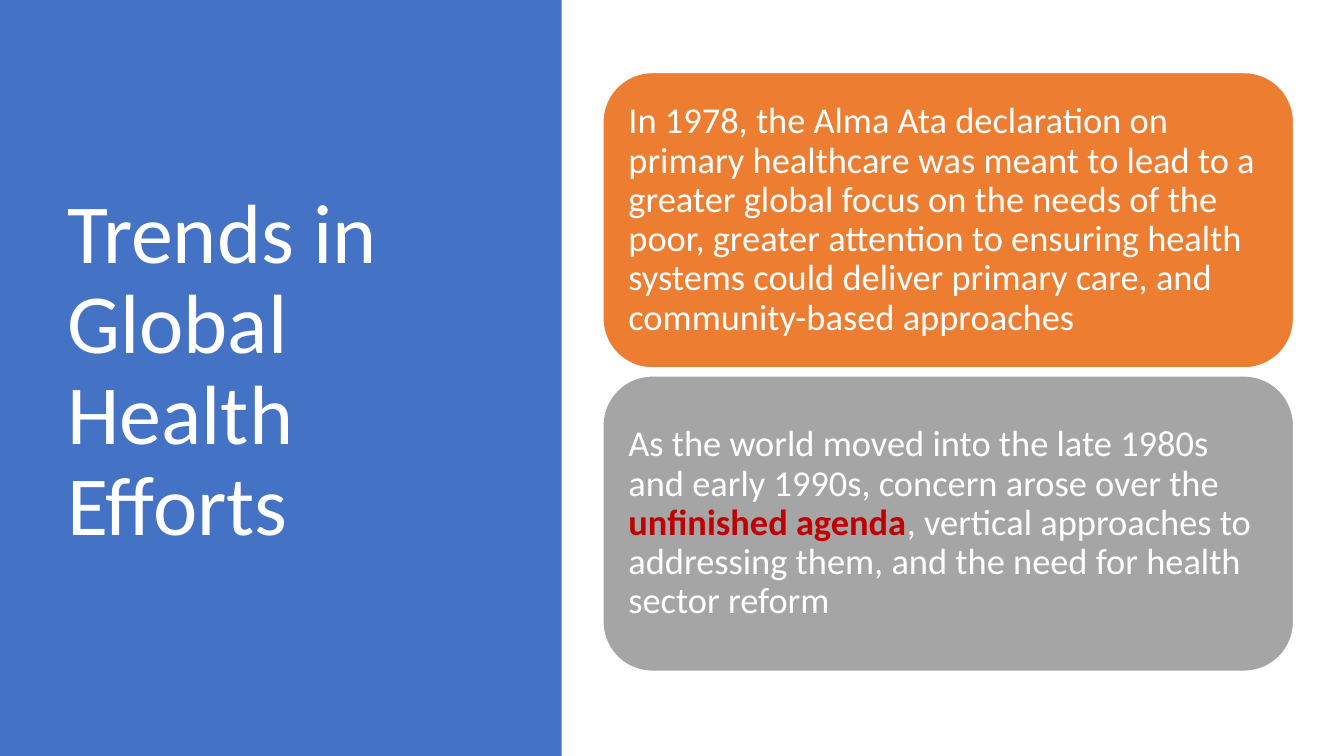
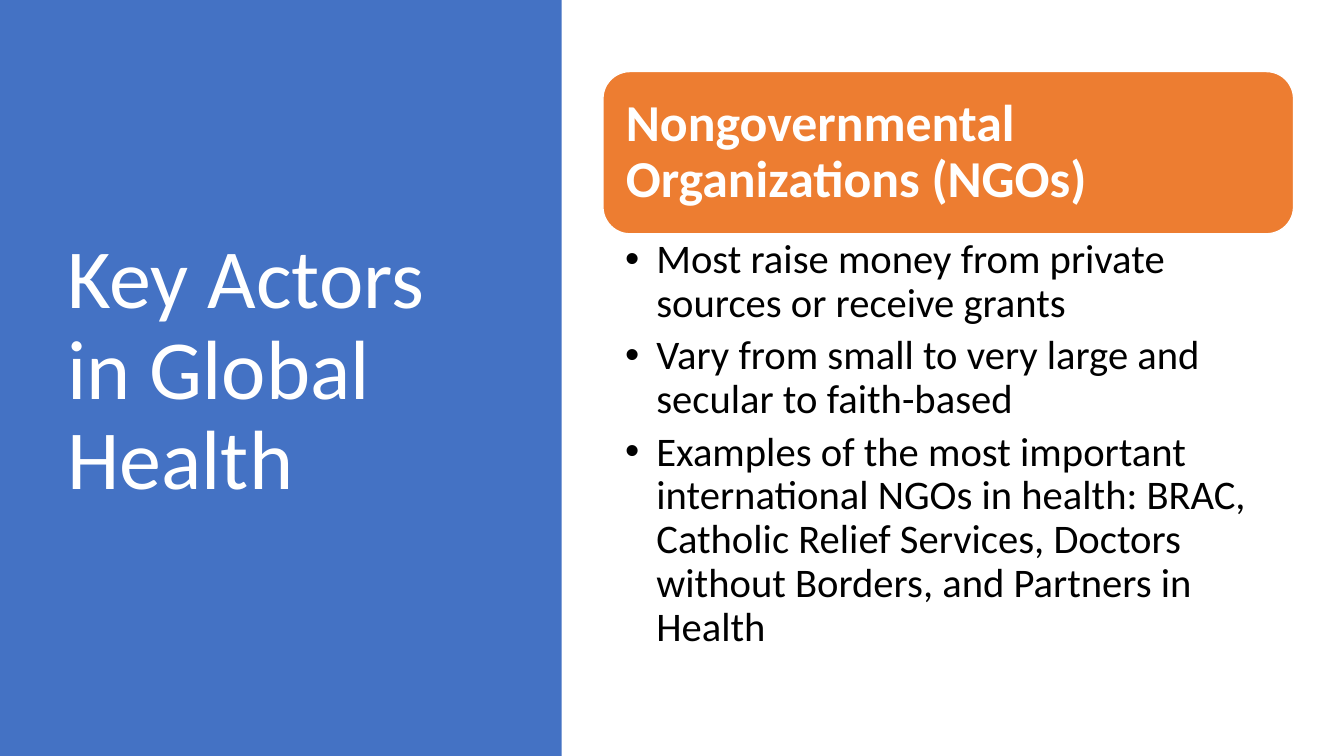
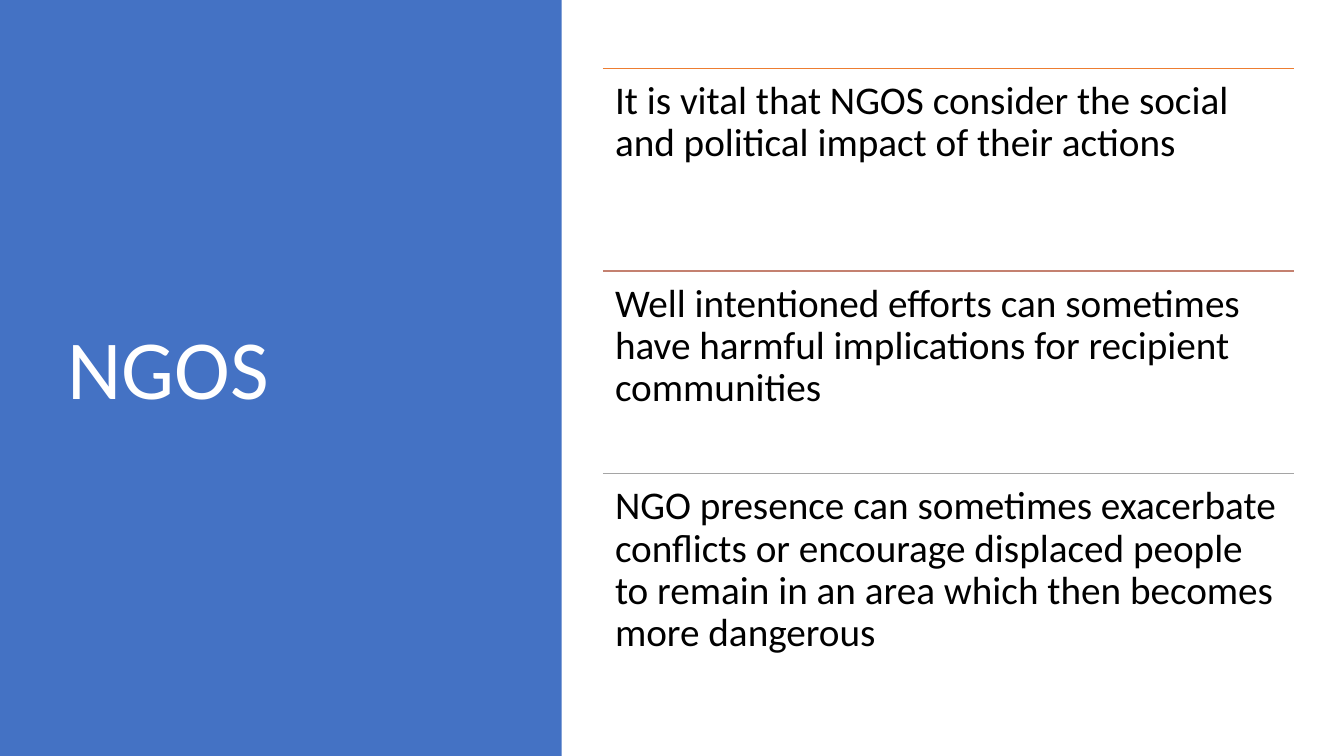
from pptx import Presentation
from pptx.dml.color import RGBColor
from pptx.enum.shapes import MSO_CONNECTOR, MSO_SHAPE
from pptx.enum.text import MSO_ANCHOR, PP_ALIGN
from pptx.oxml.ns import qn
from pptx.util import Emu, Pt
from lxml import etree

RECTANGLE, ROUNDED = MSO_SHAPE.RECTANGLE, MSO_SHAPE.ROUNDED_RECTANGLE
STRAIGHT = MSO_CONNECTOR.STRAIGHT
TOP, MIDDLE = MSO_ANCHOR.TOP, MSO_ANCHOR.MIDDLE
LEFT = PP_ALIGN.LEFT

EMU_PER_PX = 9144  # 100 px to the inch
SLIDE_WIDTH, SLIDE_HEIGHT = 1333, 750
CONTENT_LEFT, CONTENT_WIDTH = 598, 685

FONT = "Calibri"
BLUE, ORANGE, GRAY = "4472C4", "ED7D31", "A5A5A5"
ROSE, RED, WHITE, BLACK = "C48170", "C00000", "FFFFFF", "000000"


def px(length):
    return Emu(length * EMU_PER_PX)


def color(hex_value):
    return RGBColor.from_string(hex_value)


def add_bullet(para, indent):
    properties = para._p.get_or_add_pPr()
    properties.set("marL", str(px(indent)))
    properties.set("indent", str(-px(indent)))
    etree.SubElement(properties, qn("a:buFont")).set("typeface", "Arial")
    etree.SubElement(properties, qn("a:buChar")).set("char", "•")


def write_text(shape, paragraphs, *, size, fill=BLACK, bold=False,
               anchor=TOP, insets=(10, 5, 10, 5), bullet_indent=0, gap=0):
    """Each paragraph is a list of spans: (text,) or (text, highlight colour)."""
    frame = shape.text_frame
    frame.word_wrap = True
    frame.vertical_anchor = anchor
    (frame.margin_left, frame.margin_top,
     frame.margin_right, frame.margin_bottom) = map(px, insets)
    for index, spans in enumerate(paragraphs):
        para = frame.add_paragraph() if index else frame.paragraphs[0]
        para.alignment = LEFT
        para.line_spacing = 0.9
        para.space_before = Pt(gap if index else 0)
        if bullet_indent:
            add_bullet(para, bullet_indent)
        for text, *highlight in spans:
            span = para.add_run()
            span.text = text
            span.font.name = FONT
            span.font.size = Pt(size)
            span.font.bold = bold or bool(highlight)
            span.font.color.rgb = color(highlight[0] if highlight else fill)


class Deck:
    def __init__(self):
        self.presentation = Presentation()
        self.presentation.slide_width = px(SLIDE_WIDTH)
        self.presentation.slide_height = px(SLIDE_HEIGHT)
        self.slide = None

    def add_slide(self, title):
        """Start a slide with the blue side panel and its title."""
        blank = self.presentation.slide_layouts[6]
        self.slide = self.presentation.slides.add_slide(blank)
        self.shape(RECTANGLE, 0, 0, 557, SLIDE_HEIGHT, BLUE)
        self.text(57, 68, 416, 602, [[(title,)]],
                  size=60, fill=WHITE, anchor=MIDDLE)

    def shape(self, kind, left, top, width, height, fill, outline=None):
        shape = self.slide.shapes.add_shape(
            kind, px(left), px(top), px(width), px(height))
        shape.shadow.inherit = False
        shape.fill.solid()
        shape.fill.fore_color.rgb = color(fill)
        if outline:
            shape.line.color.rgb = color(outline)
            shape.line.width = Pt(1)
        else:
            shape.line.fill.background()
        return shape

    def text(self, left, top, width, height, paragraphs, **style):
        box = self.slide.shapes.add_textbox(
            px(left), px(top), px(width), px(height))
        write_text(box, paragraphs, **style)

    def card(self, top, height, fill, spans, *, inset, **style):
        card = self.shape(ROUNDED, CONTENT_LEFT, top, CONTENT_WIDTH, height,
                          fill, outline=WHITE)
        write_text(card, [spans], fill=WHITE, anchor=MIDDLE,
                   insets=[inset] * 4, **style)

    def rule(self, top, stroke):
        rule = self.slide.shapes.add_connector(
            STRAIGHT, px(CONTENT_LEFT), px(top),
            px(CONTENT_LEFT + CONTENT_WIDTH), px(top))
        rule.line.color.rgb = color(stroke)
        rule.line.width = Pt(1)
        etree.SubElement(rule._element.spPr, qn("a:effectLst"))


def add_trends(deck):
    deck.add_slide("Trends in Global Health Efforts")
    cards = [
        (ORANGE, [("In 1978, the Alma Ata declaration on primary healthcare was "
                   "meant to lead to a greater global focus on the needs of the "
                   "poor, greater attention to ensuring health systems could "
                   "deliver primary care, and community-based approaches",)]),
        (GRAY, [("As the world moved into the late 1980s and early 1990s, "
                 "concern arose over the ",),
                ("unfinished agenda", RED),
                (", vertical approaches to addressing them, and the need for "
                 "health sector reform",)]),
    ]
    for index, (fill, spans) in enumerate(cards):
        deck.card(72 + 301 * index, 293, fill, spans, inset=11, size=26)


def add_key_actors(deck):
    deck.add_slide("Key Actors in Global Health")
    deck.card(71, 161, ORANGE, [("Nongovernmental Organizations (NGOs)",)],
              inset=15, size=37, bold=True)
    facts = [
        "Most raise money from private sources or receive grants",
        "Vary from small to very large and secular to faith-based",
        "Examples of the most important international NGOs in health: BRAC, "
        "Catholic Relief Services, Doctors without Borders, and Partners in "
        "Health",
    ]
    deck.text(CONTENT_LEFT, 232, CONTENT_WIDTH, 436, [[(fact,)] for fact in facts],
              size=29, insets=(22, 5, 29, 5), bullet_indent=31, gap=6)


def add_ngo_risks(deck):
    deck.add_slide("NGOS")
    risks = [
        (ORANGE, "It is vital that NGOS consider the social and political impact "
                 "of their actions"),
        (ROSE, "Well intentioned efforts can sometimes have harmful implications "
               "for recipient communities"),
        (GRAY, "NGO presence can sometimes exacerbate conflicts or encourage "
               "displaced people to remain in an area which then becomes more "
               "dangerous"),
    ]
    for index, (stroke, risk) in enumerate(risks):
        top = 68 + 201 * index
        deck.rule(top, stroke)
        deck.text(CONTENT_LEFT, top, CONTENT_WIDTH, 200, [[(risk,)]],
                  size=28, insets=[12] * 4)


def main():
    deck = Deck()
    add_trends(deck)
    add_key_actors(deck)
    add_ngo_risks(deck)
    deck.presentation.save("out.pptx")


if __name__ == "__main__":
    main()
